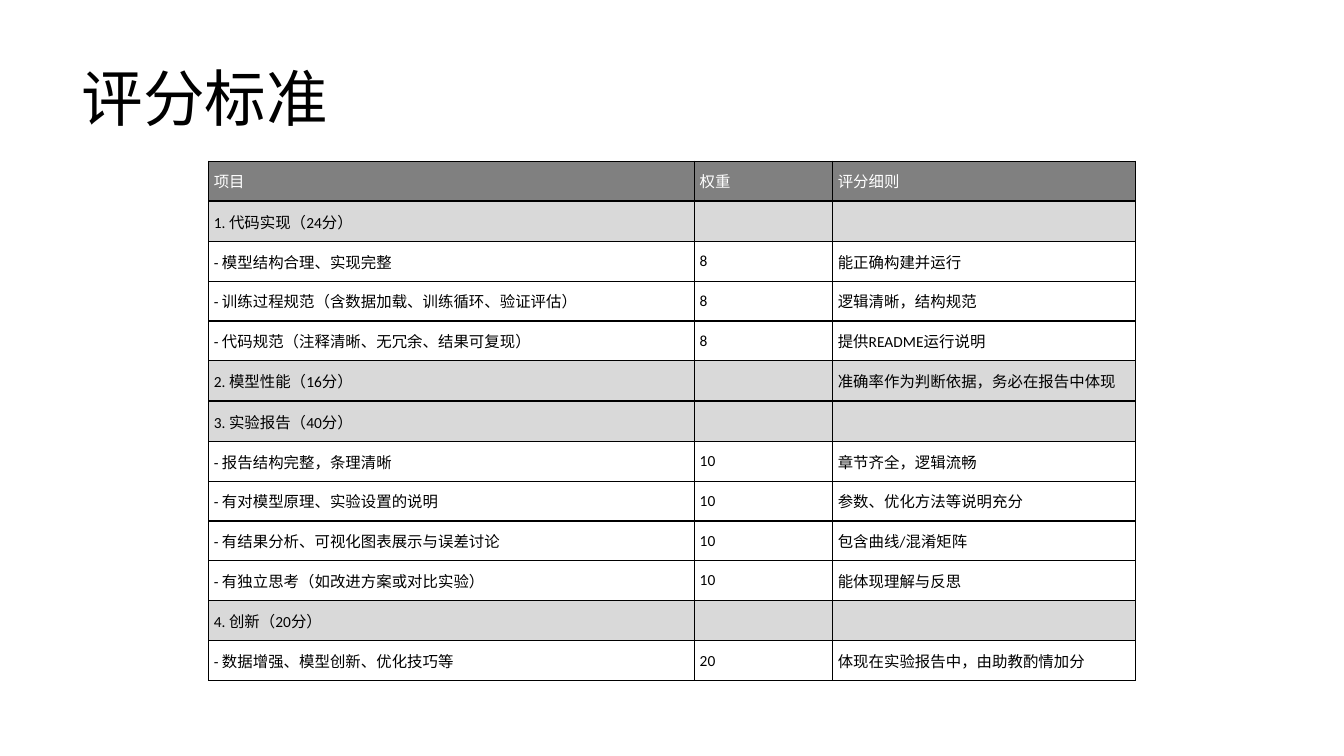
from lxml import etree
from pptx import Presentation
from pptx.dml.color import RGBColor
from pptx.enum import text
from pptx.oxml.ns import qn
from pptx.util import Inches, Pt

FONT = "Calibri"
BLACK, WHITE = "000000", "FFFFFF"
HEADER_FILL, SECTION_FILL = "808080", "D9D9D9"
COLUMN_WIDTHS = [4.82, 1.37, 3]
ROWS = [
    ("项目", "权重", "评分细则"),
    ("1. 代码实现（24分）", "", ""),
    ("- 模型结构合理、实现完整", "8", "能正确构建并运行"),
    ("- 训练过程规范（含数据加载、训练循环、验证评估）", "8", "逻辑清晰，结构规范"),
    ("- 代码规范（注释清晰、无冗余、结果可复现）", "8", "提供README运行说明"),
    ("2. 模型性能（16分）", "", "准确率作为判断依据，务必在报告中体现"),
    ("3. 实验报告（40分）", "", ""),
    ("- 报告结构完整，条理清晰", "10", "章节齐全，逻辑流畅"),
    ("- 有对模型原理、实验设置的说明", "10", "参数、优化方法等说明充分"),
    ("- 有结果分析、可视化图表展示与误差讨论", "10", "包含曲线/混淆矩阵"),
    ("- 有独立思考（如改进方案或对比实验）", "10", "能体现理解与反思"),
    ("4. 创新（20分）", "", ""),
    ("- 数据增强、模型创新、优化技巧等", "20", "体现在实验报告中，由助教酌情加分"),
]


def write(frame, words, size=11, color=BLACK, spacing=None):
    """Put one formatted run into the first paragraph of a text frame."""
    para = frame.paragraphs[0]
    para.line_spacing = spacing
    span = para.add_run()
    span.text = words
    span.font.name = FONT
    span.font.size = Pt(size)
    span.font.color.rgb = RGBColor.from_string(color)


def add_borders(cell, color=BLACK, width=1):
    properties = cell._tc.get_or_add_tcPr()
    for index, side in enumerate(("lnL", "lnR", "lnT", "lnB")):
        line = etree.Element(qn(f"a:{side}"), w=str(Pt(width)))
        fill = etree.SubElement(line, qn("a:solidFill"))
        etree.SubElement(fill, qn("a:srgbClr"), val=color)
        properties.insert(index, line)


deck = Presentation()
deck.slide_width, deck.slide_height = Inches(13.33), Inches(7.5)
page = deck.slides.add_slide(deck.slide_layouts[6])

title = page.shapes.add_textbox(Inches(0.71), Inches(0.28), Inches(11.5), Inches(1.45))
title.text_frame.word_wrap = True
title.text_frame.vertical_anchor = text.MSO_ANCHOR.MIDDLE
write(title.text_frame, "评分标准", size=44, spacing=0.9)

table = page.shapes.add_table(
    len(ROWS), len(COLUMN_WIDTHS),
    Inches(2.07), Inches(1.6), Inches(sum(COLUMN_WIDTHS)), Inches(5.13),
).table
table.first_row = table.horz_banding = False
for column, width in zip(table.columns, COLUMN_WIDTHS):
    column.width = Inches(width)

for row_index, entries in enumerate(ROWS):
    is_header = row_index == 0
    is_section = entries[0][0].isdigit()
    fill_color = HEADER_FILL if is_header else SECTION_FILL if is_section else WHITE
    for column_index, words in enumerate(entries):
        cell = table.cell(row_index, column_index)
        cell.vertical_anchor = text.MSO_ANCHOR.MIDDLE
        cell.margin_left = cell.margin_right = Inches(0.05)
        cell.margin_top = cell.margin_bottom = Inches(0.05)
        cell.fill.solid()
        cell.fill.fore_color.rgb = RGBColor.from_string(fill_color)
        add_borders(cell)
        if words:
            write(cell.text_frame, words, color=WHITE if is_header else BLACK)

deck.save("out.pptx")
